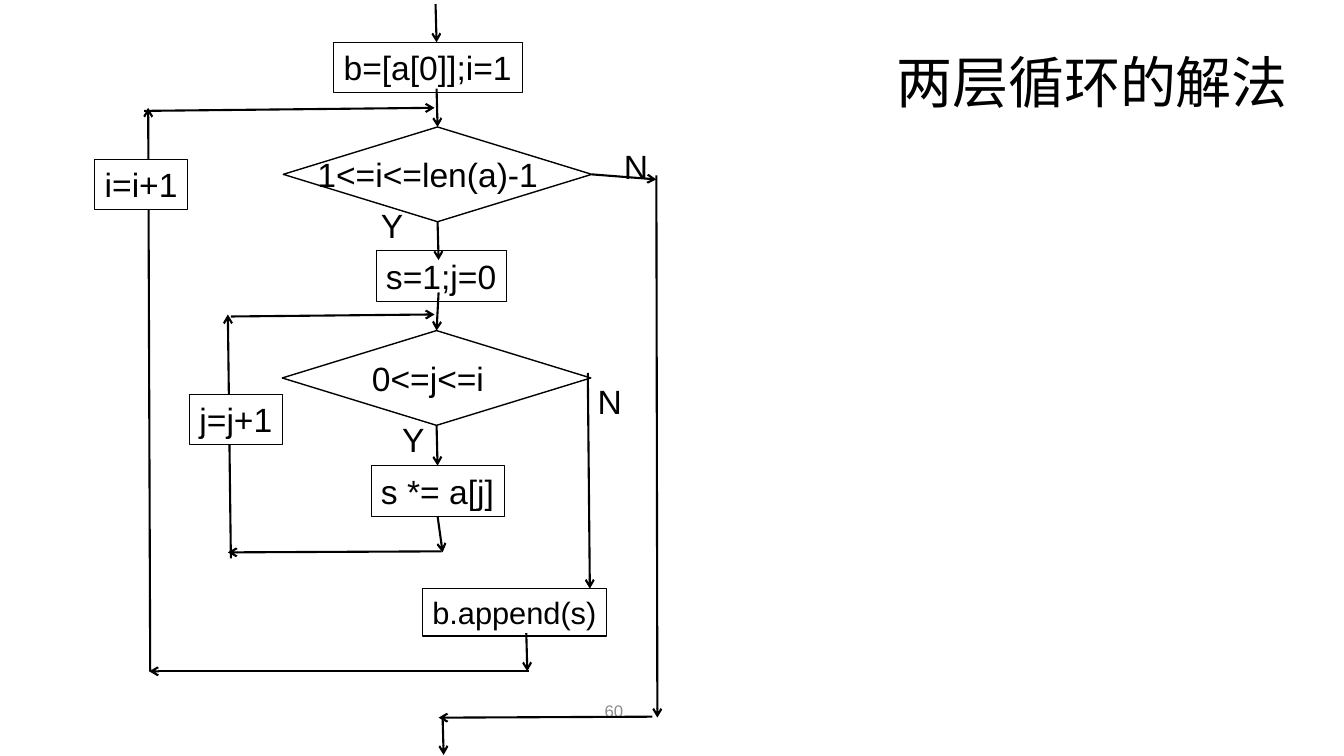
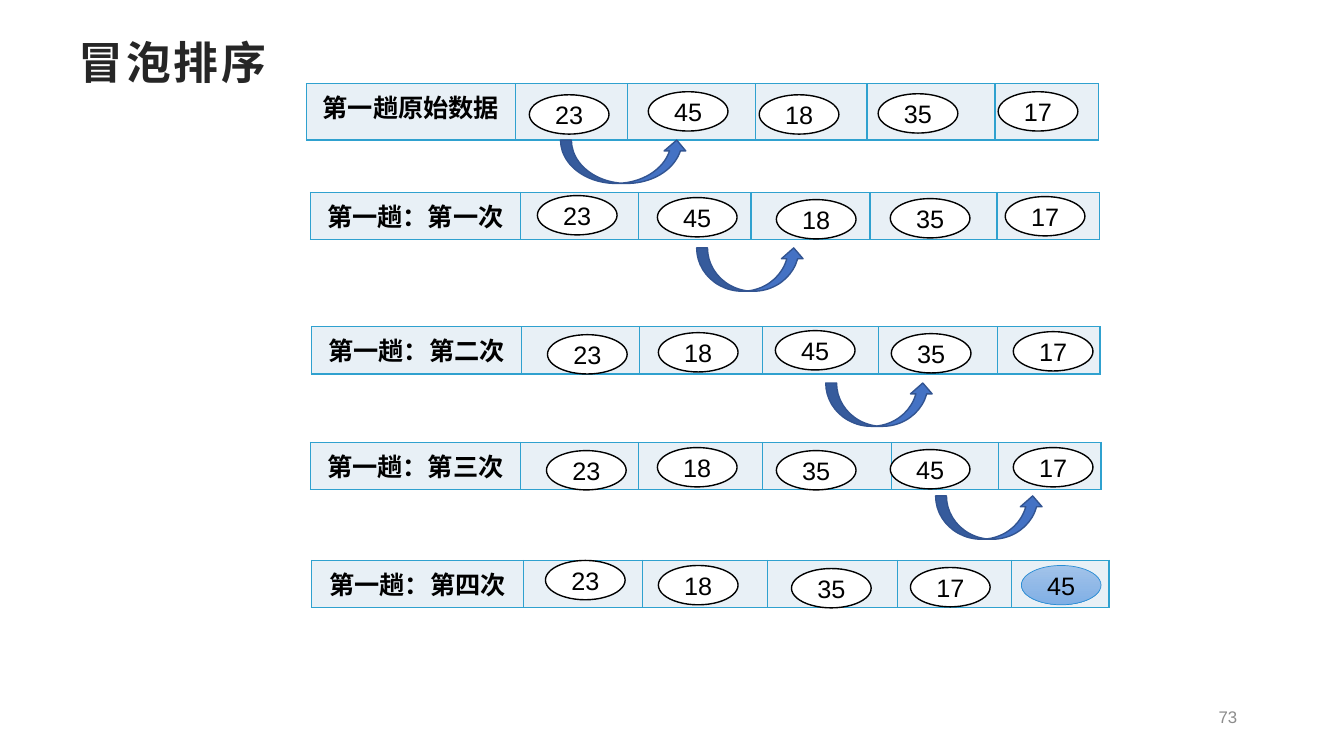
"""Build two teaching slides: a nested-loop flowchart and a bubble sort pass."""
from dataclasses import dataclass

import pptx
import pptx.dml.color
import pptx.enum.shapes
import pptx.enum.text
import pptx.oxml
import pptx.oxml.ns
import pptx.util
from lxml import etree

EMU_PER_PX = 9144
SHAPE = pptx.enum.shapes.MSO_SHAPE
ALIGN = pptx.enum.text.PP_ALIGN
ANCHOR = pptx.enum.text.MSO_ANCHOR
TOP, BOTTOM, RIGHT = 0, 2, 3


@dataclass(frozen=True)
class Theme:
    """Colours, type sizes and line widths of the deck."""
    font: str = "Arial"
    ink: str = "000000"
    paper: str = "FFFFFF"
    title: str = "262626"
    muted: str = "8C8C8C"
    cell: str = "E8F0F6"
    grid: str = "2FA1CF"
    swap: str = "4472C4"
    swap_edge: str = "325491"
    sorted_top: str = "A2C3E9"
    sorted_bottom: str = "80AFE5"
    sorted_edge: str = "2A8DD4"
    heading_size: int = 40
    title_size: int = 32
    code_size: int = 24
    small_code_size: int = 22
    value_size: int = 18
    page_size: int = 12
    hairline: float = 0.5
    thin: float = 0.75
    medium: float = 1
    thick: float = 1.5


def px(*lengths):
    """Turn px lengths into EMU."""
    return [pptx.util.Emu(length * EMU_PER_PX) for length in lengths]


def rgb(colour):
    """Turn a hex string into a colour."""
    return pptx.dml.color.RGBColor.from_string(colour)


class Deck:
    """Holds the style and the current slide and draws each kind of element."""

    def __init__(self, theme):
        """Start a wide presentation."""
        self.theme = theme
        self.presentation = pptx.Presentation()
        self.presentation.slide_width, self.presentation.slide_height = px(1333, 750)
        self.slide = None

    def new_slide(self):
        """Open a blank slide."""
        self.slide = self.presentation.slides.add_slide(self.presentation.slide_layouts[6])

    def set_text(self, frame, text, size, colour=None, align=ALIGN.LEFT, bold=False):
        """Set one styled paragraph in a text frame."""
        frame.text = text
        paragraph = frame.paragraphs[0]
        paragraph.alignment = align
        for run in paragraph.runs:
            run.font.name = self.theme.font
            run.font.size = pptx.util.Pt(size)
            run.font.bold = bold
            run.font.color.rgb = rgb(colour or self.theme.ink)

    def shape(self, kind, at, line, width, fill=None):
        """Draw a preset shape with a plain outline."""
        shape = self.slide.shapes.add_shape(kind, *px(*at))
        shape.shadow.inherit = False
        shape.line.color.rgb = rgb(line)
        shape.line.width = pptx.util.Pt(width)
        if fill:
            shape.fill.solid()
            shape.fill.fore_color.rgb = rgb(fill)
        else:
            shape.fill.background()
        return shape

    def fit(self, shape, text, size):
        """Set unwrapped text that sizes its own box."""
        frame = shape.text_frame
        frame.word_wrap = False
        frame.auto_size = pptx.enum.text.MSO_AUTO_SIZE.SHAPE_TO_FIT_TEXT
        frame.vertical_anchor = ANCHOR.TOP
        self.set_text(frame, text, size)

    def label(self, text, at, size=None):
        """Place free text."""
        box = self.slide.shapes.add_textbox(*px(*at))
        self.fit(box, text, size or self.theme.code_size)

    def step(self, text, at, size=None, fill=None):
        """Draw a boxed statement."""
        box = self.shape(SHAPE.RECTANGLE, at, self.theme.ink, self.theme.thin, fill)
        self.fit(box, text, size or self.theme.code_size)
        return box

    def decision(self, at):
        """Draw a decision diamond."""
        return self.shape(SHAPE.DIAMOND, at, self.theme.ink, self.theme.medium)

    def arrow(self, start, end, source=None, target=None):
        """Draw an arrow, joined to a (shape, side) pair where one is given."""
        arrow = self.slide.shapes.add_connector(
            pptx.enum.shapes.MSO_CONNECTOR.STRAIGHT, *px(*start, *end))
        arrow.line.color.rgb = rgb(self.theme.ink)
        arrow.line.width = pptx.util.Pt(self.theme.thick)
        if source:
            arrow.begin_connect(*source)
        if target:
            arrow.end_connect(*target)
        qn = pptx.oxml.ns.qn
        properties = arrow._element.spPr
        etree.SubElement(properties.find(qn("a:ln")), qn("a:tailEnd"), type="arrow")
        etree.SubElement(properties, qn("a:effectLst"))

    def title(self, text, at):
        """Place a bold, letter-spaced slide title."""
        frame = self.slide.shapes.add_textbox(*px(*at)).text_frame
        frame.word_wrap = True
        self.set_text(frame, text, self.theme.title_size, self.theme.title, bold=True)
        frame.paragraphs[0].runs[0]._r.get_or_add_rPr().set("spc", "200")

    def page_number(self, number, left, top):
        """Place the slide number."""
        frame = self.slide.shapes.add_textbox(*px(left, top, 295, 35)).text_frame
        frame.word_wrap = True
        frame.vertical_anchor = ANCHOR.MIDDLE
        self.set_text(frame, str(number), self.theme.page_size, self.theme.muted, ALIGN.RIGHT)

    def strip(self, text, left, top, height, widths):
        """Draw a one-row table with a label in its first cell."""
        table = self.slide.shapes.add_table(
            1, len(widths), *px(left, top, sum(widths), height)).table
        table.first_row = table.horz_banding = False
        for column, width in zip(table.columns, px(*widths)):
            column.width = width
        for cell in table.rows[0].cells:
            self.border(cell)
            cell.fill.solid()
            cell.fill.fore_color.rgb = rgb(self.theme.cell)
        self.set_text(table.cell(0, 0).text_frame, text, self.theme.value_size,
                      align=ALIGN.CENTER, bold=True)

    def border(self, cell):
        """Outline a table cell on all sides."""
        qn = pptx.oxml.ns.qn
        properties = cell._tc.get_or_add_tcPr()
        for side in ("lnL", "lnR", "lnT", "lnB"):
            edge = etree.SubElement(properties, qn(f"a:{side}"),
                                    w=str(int(pptx.util.Pt(self.theme.medium))))
            solid = etree.SubElement(edge, qn("a:solidFill"))
            etree.SubElement(solid, qn("a:srgbClr"), val=self.theme.grid)

    def value(self, number, left, top, in_place=False):
        """Draw a number in an oval, tinted once it is in place."""
        theme = self.theme
        oval = self.shape(SHAPE.OVAL, (left, top, 79, 39), theme.ink, theme.medium, theme.paper)
        if in_place:
            oval.fill.gradient()
            oval.fill.gradient_angle = 270
            for stop, colour in zip(oval.fill.gradient_stops,
                                    (theme.sorted_top, theme.sorted_bottom)):
                stop.color.rgb = rgb(colour)
            oval.line.color.rgb = rgb(theme.sorted_edge)
            oval.line.width = pptx.util.Pt(theme.hairline)
        oval.text_frame.vertical_anchor = ANCHOR.MIDDLE
        self.set_text(oval.text_frame, str(number), theme.value_size, align=ALIGN.CENTER)

    def swap(self, left, top, width):
        """Draw the curved arrow between two compared numbers."""
        self.shape(SHAPE.CURVED_UP_ARROW, (left, top, width, 43),
                   self.theme.swap_edge, self.theme.medium, self.theme.swap)


def nested_loops(deck):
    """Draw the flowchart of the two-loop solution."""
    theme = deck.theme
    deck.new_slide()
    deck.page_number(60, 333, 688)
    deck.step("b=[a[0]];i=1", (331, 42, 187, 50))
    deck.label("1<=i<=len(a)-1", (305, 148, 239, 50))
    deck.step("s=1;j=0", (373, 249, 129, 50))
    deck.label("0<=j<=i", (359, 350, 131, 50))
    multiply = deck.step("s *= a[j]", (368, 462, 132, 50))
    deck.step("b.append(s)", (419, 584, 183, 47), theme.small_code_size)
    outer_test = deck.decision((281, 126, 306, 94))
    inner_test = deck.decision((280, 328, 306, 94))

    deck.arrow((432, 4), (433, 42))
    deck.arrow((433, 88), (434, 126), target=(outer_test, TOP))
    deck.arrow((434, 220), (435, 258), source=(outer_test, BOTTOM))
    deck.arrow((435, 290), (436, 328), target=(inner_test, TOP))
    deck.arrow((436, 424), (437, 462), source=(inner_test, BOTTOM), target=(multiply, TOP))
    deck.arrow((437, 512), (439, 548), source=(multiply, BOTTOM))
    deck.arrow((585, 174), (651, 178), source=(outer_test, RIGHT))
    for start, end in (
        ((522, 628), (523, 666)), ((525, 666), (148, 666)),
        ((149, 666), (147, 107)), ((438, 547), (226, 548)),
        ((229, 554), (226, 312)), ((143, 110), (431, 107)),
        ((229, 314), (431, 312)), ((583, 370), (585, 584)),
        ((651, 174), (652, 712)), ((647, 711), (435, 712)),
        ((439, 712), (440, 749)),
    ):
        deck.arrow(start, end)

    deck.step("i=i+1", (94, 158, 92, 50), fill=theme.paper)
    deck.step("j=j+1", (188, 391, 92, 50), fill=theme.paper)
    for answer, left, top in (("N", 583, 373), ("N", 609, 140), ("Y", 368, 198), ("Y", 389, 411)):
        deck.label(answer, (left, top, 43, 50))
    deck.label("两层循环的解法", (879, 42, 409, 77), theme.heading_size)


def bubble_sort(deck):
    """Draw the first pass of a bubble sort, one strip per comparison."""
    deck.new_slide()
    deck.title("冒泡排序", (68, 29, 252, 78))
    stages = (
        ("第一趟原始数据", (304, 83, 56), (207, 111, 127, 111, 127, 103),
         ((23, 525, 94), (45, 643, 91), (18, 753, 94), (35, 871, 93), (17, 990, 91)),
         (556, 139, 126)),
        ("第一趟：第一次", (308, 191, 47), (208, 117, 112, 118, 126, 102),
         ((23, 533, 194), (45, 652, 196), (18, 770, 198), (35, 883, 197), (17, 997, 195)),
         (691, 246, 107)),
        ("第一趟：第二次", (309, 324, 47), (208, 117, 122, 115, 118, 102),
         ((23, 543, 332), (18, 653, 330), (45, 769, 328), (35, 884, 331), (17, 1005, 329)),
         (819, 380, 107)),
        ("第一趟：第三次", (308, 439, 47), (208, 117, 123, 128, 106, 102),
         ((23, 542, 447), (18, 652, 444), (35, 770, 447), (45, 883, 446), (17, 1005, 444)),
         (928, 492, 107)),
        ("第一趟：第四次", (309, 556, 47), (210, 118, 124, 129, 113, 97),
         ((23, 541, 556), (18, 653, 561), (35, 785, 564), (17, 903, 563), (45, 1013, 561)),
         None),
    )
    for label, place, widths, values, swap in stages:
        deck.strip(label, *place, widths)
        for position, value in enumerate(values, 1):
            deck.value(*value, in_place=swap is None and position == len(values))
        if swap:
            deck.swap(*swap)
    deck.page_number(73, 942, 694)


def main():
    """Build and save the deck."""
    deck = Deck(Theme())
    nested_loops(deck)
    bubble_sort(deck)
    deck.presentation.save("out.pptx")


if __name__ == "__main__":
    main()
